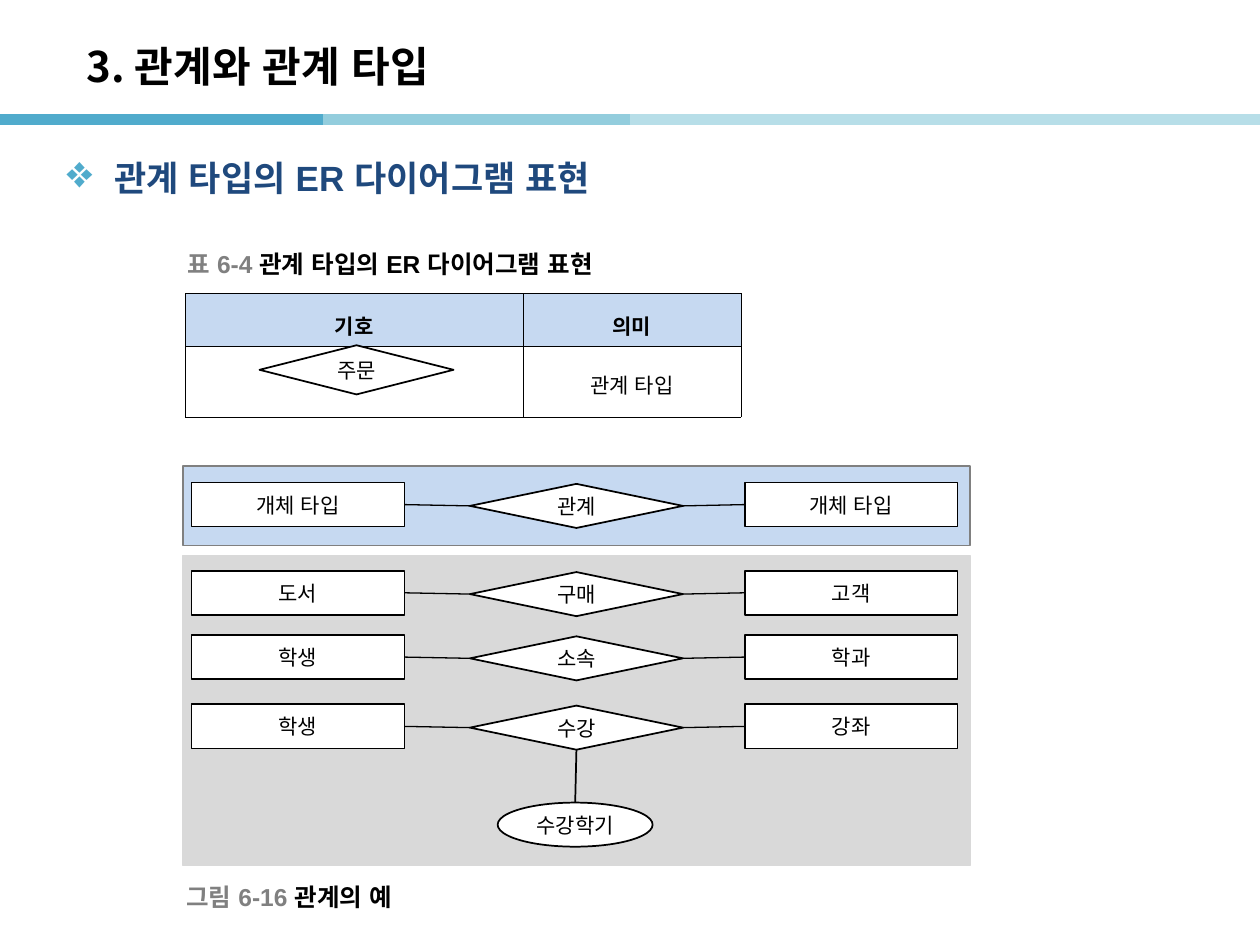
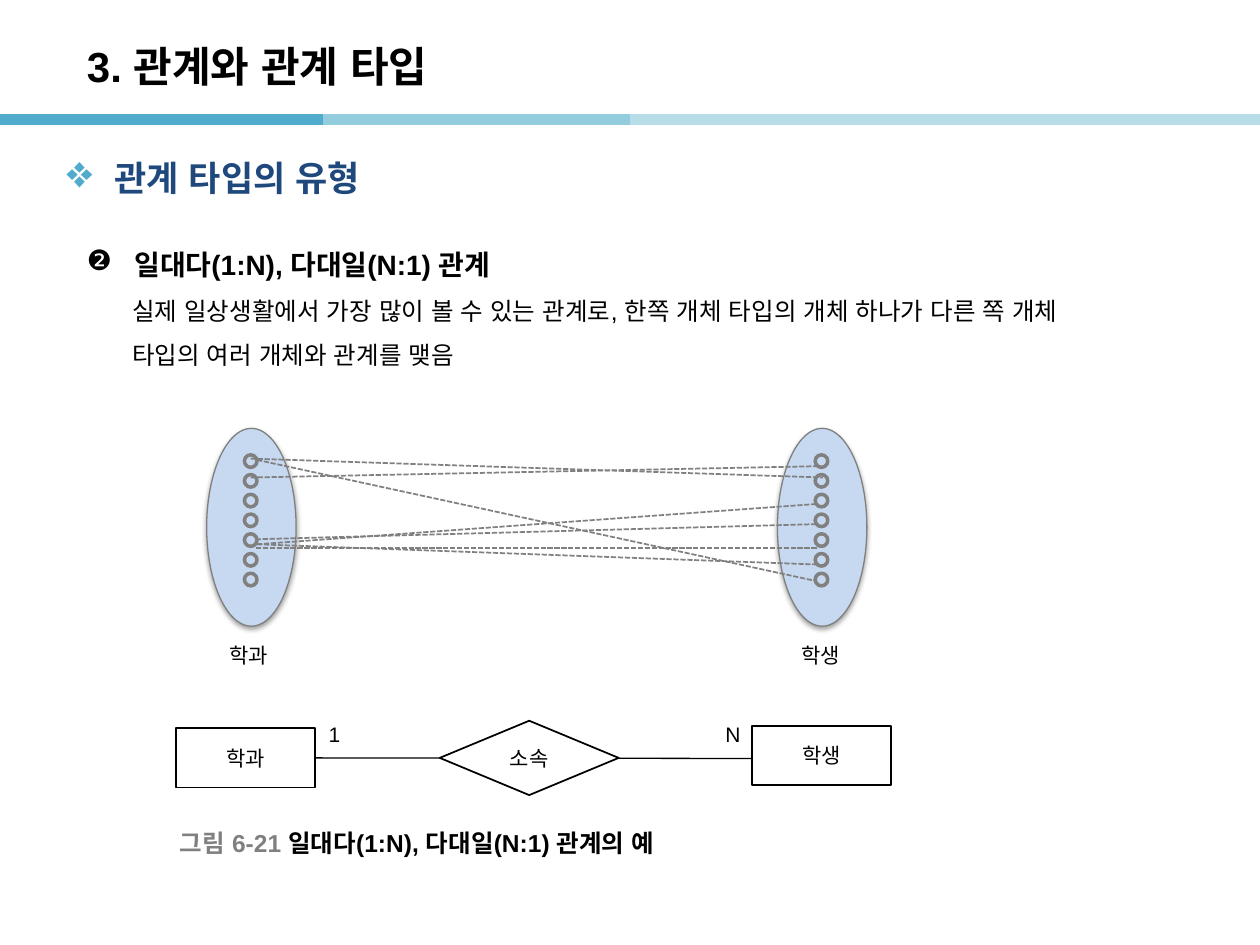
from lxml.etree import SubElement
from pptx import Presentation
from pptx.dml.color import RGBColor
from pptx.enum.dml import MSO_LINE
from pptx.enum.shapes import MSO_CONNECTOR, MSO_SHAPE as SHAPE
from pptx.enum.text import MSO_ANCHOR as ANCHOR, MSO_AUTO_SIZE, PP_ALIGN as ALIGN
from pptx.oxml import parse_xml
from pptx.oxml.ns import nsdecls, qn
from pptx.util import Inches, Pt

COLORS = {
    name: RGBColor.from_string(value)
    for name, value in {
        "black": "000000", "white": "FFFFFF", "gray": "808080", "panel": "D9D9D9",
        "pale": "C6D9F1", "navy": "1F497D", "teal": "50ABCC", "aqua": "93CDDD",
        "mist": "B7DEE8",
    }.items()
}
LATIN, KOREAN = "Arial", "Noto Sans CJK KR"
TOP, LEFT, BOTTOM, RIGHT = range(4)


def add_node(slide, kind, at, text="", fill="white", line="black", width=1):
    node = slide.shapes.add_shape(kind, *map(Inches, at))
    node.shadow.inherit = False
    node.fill.solid()
    node.fill.fore_color.rgb = COLORS[fill]
    node.line.color.rgb = COLORS[line]
    node.line.width = Pt(width)
    if text:
        frame = node.text_frame
        frame.margin_left = frame.margin_right = 0
        frame.vertical_anchor = ANCHOR.MIDDLE
        frame.text = text
        frame.paragraphs[0].alignment = ALIGN.CENTER
        font = frame.paragraphs[0].runs[0].font
        font.size = Pt(12)
        font.color.rgb = COLORS["black"]
    return node


def add_link(slide, start=(0, 0), end=(0, 0), color="black", width=0.75, joins=None):
    link = slide.shapes.add_connector(MSO_CONNECTOR.STRAIGHT, *map(Inches, (*start, *end)))
    link.line.color.rgb = COLORS[color]
    link.line.width = Pt(width)
    SubElement(link.element.spPr, qn("a:effectLst"))
    if joins:
        link.begin_connect(*joins[0])
        link.end_connect(*joins[1])
    return link


prs = Presentation()
prs.slide_width, prs.slide_height = Inches(10), Inches(7.5)

bands = [(0, 2.56, "teal"), (2.56, 5.12, "aqua"), (5, 7.56, "mist"), (7.46, 10.02, "mist")]
pages = [
    (KOREAN, "관계 타입의 ER 다이어그램 표현", [
        ("표 6-4 ", "관계 타입의 ER 다이어그램 표현", (1.39, 1.94, 3.8, 0.31)),
        ("그림 6-16 ", "관계의 예", (1.38, 6.98, 2.1, 0.28)),
    ]),
    (LATIN, "관계 타입의 유형", [
        ("그림 6-21 ", "일대다(1:N), 다대일(N:1) 관계의 예", (1.33, 6.53, 4.5, 0.31)),
    ]),
]
for title_font, heading_text, captions in pages:
    slide = prs.slides.add_slide(prs.slide_layouts[5])
    for start, end, color in bands:
        add_link(slide, (start, 0.95), (end, 0.95), color, 6)

    title = slide.shapes.title
    title.left, title.top, title.width, title.height = map(Inches, (0.59, 0.22, 8.27, 0.6))
    title.text_frame.text = "3. 관계와 관계 타입"
    title.text_frame.vertical_anchor = ANCHOR.MIDDLE
    title.text_frame.paragraphs[0].alignment = ALIGN.LEFT
    font = title.text_frame.paragraphs[0].runs[0].font
    font.size, font.bold, font.name = Pt(24), True, title_font
    font.color.rgb = COLORS["black"]

    heading = slide.shapes.add_textbox(*map(Inches, (0.43, 1.19, 8.82, 0.62))).text_frame
    heading.word_wrap = True
    heading.text = heading_text
    paragraph = heading.paragraphs[0]
    properties = paragraph._p.get_or_add_pPr()
    properties.set("marL", str(Inches(0.38)))
    properties.set("indent", str(-Inches(0.38)))
    bullet_color = SubElement(properties, qn("a:buClr"))
    SubElement(bullet_color, qn("a:srgbClr"), val=str(COLORS["teal"]))
    SubElement(properties, qn("a:buSzPct"), val="130000")
    SubElement(properties, qn("a:buChar"), char="❖")
    font = paragraph.runs[0].font
    font.size, font.bold = Pt(20), True
    font.color.rgb = COLORS["navy"]

    for number, caption_text, at in captions:
        caption = slide.shapes.add_textbox(*map(Inches, at)).text_frame
        caption.word_wrap = True
        caption.vertical_anchor = ANCHOR.MIDDLE
        for text, color in ((number, "gray"), (caption_text, "black")):
            run = caption.paragraphs[0].add_run()
            run.text = text
            run.font.size, run.font.bold = Pt(14), True
            run.font.color.rgb = COLORS[color]

notation, one_to_many = prs.slides

symbols = notation.shapes.add_table(2, 2, *map(Inches, (1.47, 2.33, 4.41, 0.98))).table
for column, width in zip(symbols.columns, (2.68, 1.73)):
    column.width = Inches(width)
for row, height in zip(symbols.rows, (0.42, 0.56)):
    row.height = Inches(height)
for r, texts in enumerate([("기호", "의미"), ("", "관계 타입")]):
    for c, text in enumerate(texts):
        cell = symbols.cell(r, c)
        cell.margin_left = cell.margin_right = Inches(0.07)
        cell.margin_top = cell.margin_bottom = Inches(0.02)
        cell.vertical_anchor = ANCHOR.MIDDLE
        for side in ("a:lnL", "a:lnR", "a:lnT", "a:lnB"):
            border = SubElement(cell._tc.get_or_add_tcPr(), qn(side), w=str(Pt(0.28)))
            border_fill = SubElement(border, qn("a:solidFill"))
            SubElement(border_fill, qn("a:srgbClr"), val=str(COLORS["black"]))
        cell.fill.solid()
        cell.fill.fore_color.rgb = COLORS["white" if r else "pale"]
        cell.text_frame.text = text
        paragraph = cell.text_frame.paragraphs[0]
        paragraph.alignment = ALIGN.CENTER
        paragraph.line_spacing = Pt(18) if r else 1.6
        for run in paragraph.runs:
            run.font.size, run.font.bold = Pt(12), r == 0
            run.font.color.rgb = COLORS["black"]
add_node(notation, SHAPE.FLOWCHART_DECISION, (2.06, 2.74, 1.54, 0.39), "주문")

add_node(notation, SHAPE.RECTANGLE, (1.45, 4.41, 6.25, 2.46), fill="panel", line="panel")
add_node(notation, SHAPE.RECTANGLE, (1.45, 3.7, 6.25, 0.63), fill="pale", line="gray")
relations = [
    (3.83, "개체 타입", "관계", "개체 타입"),
    (4.53, "도서", "구매", "고객"),
    (5.04, "학생", "소속", "학과"),
    (5.59, "학생", "수강", "강좌"),
]
for y, first, verb, second in relations:
    source = add_node(notation, SHAPE.RECTANGLE, (1.52, y, 1.69, 0.35), first)
    relation = add_node(notation, SHAPE.FLOWCHART_DECISION, (3.73, y + 0.01, 1.69, 0.35), verb)
    target = add_node(notation, SHAPE.RECTANGLE, (5.91, y, 1.69, 0.35), second)
    add_link(notation, joins=((source, RIGHT), (relation, LEFT)))
    add_link(notation, joins=((relation, RIGHT), (target, LEFT)))
semester = add_node(notation, SHAPE.OVAL, (3.95, 6.37, 1.23, 0.35), "수강학기")
add_link(notation, width=1, joins=((relation, BOTTOM), (semester, TOP)))

explanation = one_to_many.shapes.add_textbox(*map(Inches, (0.59, 1.78, 8.82, 5.51))).text_frame
explanation.word_wrap = True
explanation.text = "\n".join([
    "일대다(1:N), 다대일(N:1) 관계",
    "실제 일상생활에서 가장 많이 볼 수 있는 관계로, 한쪽 개체 타입의 개체 하나가 다른 쪽 개체",
    "타입의 여러 개체와 관계를 맺음",
])
for i, paragraph in enumerate(explanation.paragraphs):
    paragraph.line_spacing = 1.5
    properties = paragraph._p.get_or_add_pPr()
    properties.set("marL", str(Inches(0.36 if i else 0.38)))
    properties.set("indent", str(0 if i else -Inches(0.38)))
    if i == 0:
        SubElement(properties, qn("a:buChar"), char="❷")
    font = paragraph.runs[0].font
    font.size, font.bold = Pt(14 if i else 16), i == 0
    font.color.rgb = COLORS["black"]

for x in (1.64, 6.17):
    entity_set = add_node(one_to_many, SHAPE.OVAL, (x, 3.4, 0.71, 1.57), "", "pale", "gray", 0.75)
    entity_set.element.spPr.find(qn("a:effectLst")).append(parse_xml(
        f'<a:outerShdw {nsdecls("a")} blurRad="{Pt(3.1)}" dist="{Pt(1.6)}" dir="5400000" '
        'rotWithShape="0"><a:srgbClr val="000000"><a:alpha val="38000"/></a:srgbClr></a:outerShdw>'
    ))
    for i in range(7):
        at = (x + 0.3, 3.61 + i * 0.94 / 6, 0.1, 0.1)
        add_node(one_to_many, SHAPE.FLOWCHART_CONNECTOR, at, "", "pale", "gray", 2)

pairings = [
    ((1.99, 3.79), (6.49, 3.7)),
    ((1.99, 3.64), (6.53, 3.79)),
    ((2.04, 3.65), (6.47, 4.61)),
    ((2.04, 4.32), (6.48, 4)),
    ((2.03, 4.28), (6.48, 4.16)),
    ((2.03, 4.35), (6.49, 4.35)),
    ((2.04, 4.32), (6.48, 4.48)),
]
for start, end in pairings:
    add_link(one_to_many, start, end, "gray", 1).line.dash_style = MSO_LINE.SQUARE_DOT

department = add_node(one_to_many, SHAPE.RECTANGLE, (1.4, 5.78, 1.1, 0.47), "학과")
membership = add_link(one_to_many, (5.97, 6.02), (2.5, 6.02))
membership.end_connect(department, RIGHT)
add_node(one_to_many, SHAPE.FLOWCHART_DECISION, (3.49, 5.72, 1.42, 0.59), "소속")
add_node(one_to_many, SHAPE.RECTANGLE, (5.97, 5.76, 1.1, 0.47), "학생")

labels = [("학과", 1.72, 5.05, 0.54), ("학생", 6.26, 5.05, 0.54),
          ("1", 2.51, 5.68, 0.3), ("N", 5.66, 5.68, 0.33)]
for text, x, y, width in labels:
    label = one_to_many.shapes.add_textbox(*map(Inches, (x, y, width, 0.3))).text_frame
    label.word_wrap = False
    label.auto_size = MSO_AUTO_SIZE.SHAPE_TO_FIT_TEXT
    label.text = text
    font = label.paragraphs[0].runs[0].font
    font.size = Pt(12)
    font.color.rgb = COLORS["black"]

for slide in prs.slides:
    for run_properties in slide.element.iter(qn("a:rPr")):
        if run_properties.find(qn("a:latin")) is None:
            SubElement(run_properties, qn("a:latin"), typeface=LATIN)
        SubElement(run_properties, qn("a:ea"), typeface=LATIN)

prs.save("out.pptx")
